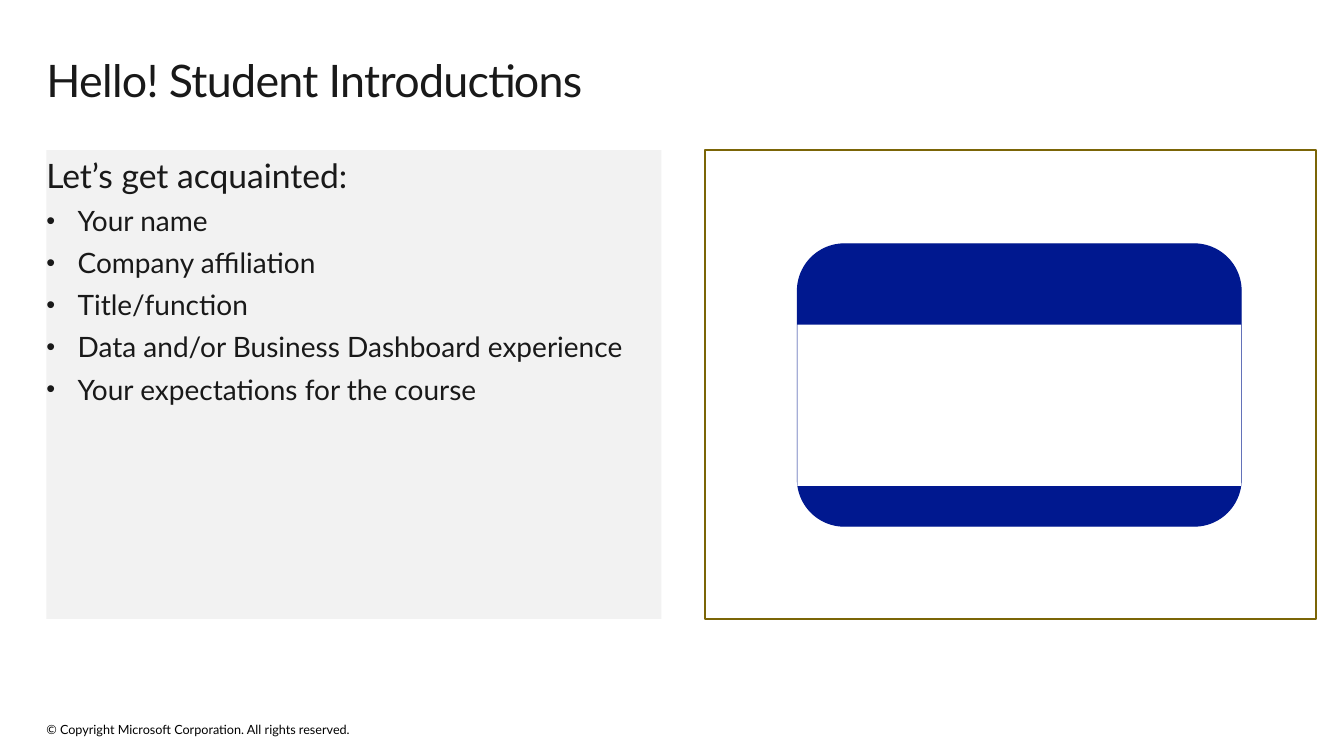
from pptx import Presentation
from pptx.dml.color import RGBColor
from pptx.enum.shapes import MSO_SHAPE
from pptx.enum.text import MSO_ANCHOR, PP_ALIGN
from pptx.oxml.ns import qn
from pptx.util import Inches, Pt
from lxml import etree

RECT, ROUND = MSO_SHAPE.RECTANGLE, MSO_SHAPE.ROUNDED_RECTANGLE
TOP, MIDDLE = MSO_ANCHOR.TOP, MSO_ANCHOR.MIDDLE
LEFT = PP_ALIGN.LEFT

# Content
TITLE = "Hello! Student Introductions"
LEAD = "Let’s get acquainted:"
ITEMS = [
    "Your name",
    "Company affiliation",
    "Title/function",
    "Data and/or Business Dashboard experience",
    "Your expectations for the course",
]
FOOTER = "© Copyright Microsoft Corporation. All rights reserved."
FONT, INK, BLACK = "Lato", "191919", "000000"
GREY, WHITE, BLUE, GOLD = "F2F2F2", "FFFFFF", "00188F", "7B6507"

# Grid: two columns on one row
WIDE, HIGH = 13.33, 7.5
EDGE, GAP = 0.46, 0.43
ROW, TALL = 1.49, 4.65
COL = 6.1
SIDE = EDGE + COL + GAP
FRAME = 6.06

# Name badge: seven bands, two blue, four white, one blue
BADGE_X, BADGE_Y, BADGE_W, BAND = 7.91, 2.42, 4.4, 0.4
HEAD, BODY, FOOT = 2, 4, 1


def color(code):
    return RGBColor.from_string(code)


def box(slide, kind, area, fill=None, line=None, width=1):
    shape = slide.shapes.add_shape(kind, *map(Inches, area))
    shape.shadow.inherit = False
    if fill:
        shape.fill.solid()
        shape.fill.fore_color.rgb = color(fill)
    else:
        shape.fill.background()
    if line:
        shape.line.color.rgb = color(line)
        shape.line.width = Pt(width)
    else:
        shape.line.fill.background()
    return shape


def write(shape, lines, sizes, ink, pads=(0, 0, 0, 0), anchor=TOP):
    frame = shape.text_frame
    frame.word_wrap = True
    frame.vertical_anchor = anchor
    (frame.margin_left, frame.margin_top,
     frame.margin_right, frame.margin_bottom) = map(Inches, pads)
    frame.text = "\n".join(lines)
    for para, size in zip(frame.paragraphs, sizes):
        para.alignment = LEFT
        for run in para.runs:
            run.font.name = FONT
            run.font.size = Pt(size)
            run.font.color.rgb = color(ink)
    return frame.paragraphs


def bullet(para, indent=0.31):
    props = para._p.get_or_add_pPr()
    props.set("marL", str(Inches(indent)))
    props.set("indent", str(-Inches(indent)))
    etree.SubElement(props, qn("a:buSzPct")).set("val", "90000")
    etree.SubElement(props, qn("a:buFont")).set("typeface", "Arial")
    etree.SubElement(props, qn("a:buChar")).set("char", "•")


def label(slide, area):
    return slide.shapes.add_textbox(*map(Inches, area))


def main():
    deck = Presentation()
    deck.slide_width, deck.slide_height = Inches(WIDE), Inches(HIGH)
    slide = deck.slides.add_slide(deck.slide_layouts[6])

    # Footer and title
    write(label(slide, (EDGE, 7.16, 4.5, 0.15)), [FOOTER], [9], BLACK,
          anchor=MIDDLE)
    title = write(label(slide, (EDGE, 0.48, FRAME, 0.8)), [TITLE], [32], INK,
                  (0, 0.1, 0.16, 0.1))[0]
    title.line_spacing = 0.9
    title.runs[0].font._element.set("spc", "-50")

    # Topic list
    panel = box(slide, RECT, (EDGE, ROW, COL, TALL), GREY)
    paras = write(panel, [LEAD] + ITEMS, [24] + [20] * len(ITEMS), INK,
                  (0, 0.05, 0, 0.05))
    for para in paras:
        para.space_after = Pt(6)
    for para in paras[1:]:
        bullet(para)

    # Name badge in its frame
    bands = HEAD + BODY + FOOT
    box(slide, ROUND, (BADGE_X, BADGE_Y, BADGE_W, bands * BAND),
        BLUE, BLUE, 0.85)
    box(slide, RECT, (BADGE_X, BADGE_Y + HEAD * BAND, BADGE_W, BODY * BAND),
        WHITE)
    box(slide, RECT, (SIDE, ROW, FRAME, TALL), line=GOLD, width=1.5)

    deck.save("out.pptx")


if __name__ == "__main__":
    main()
